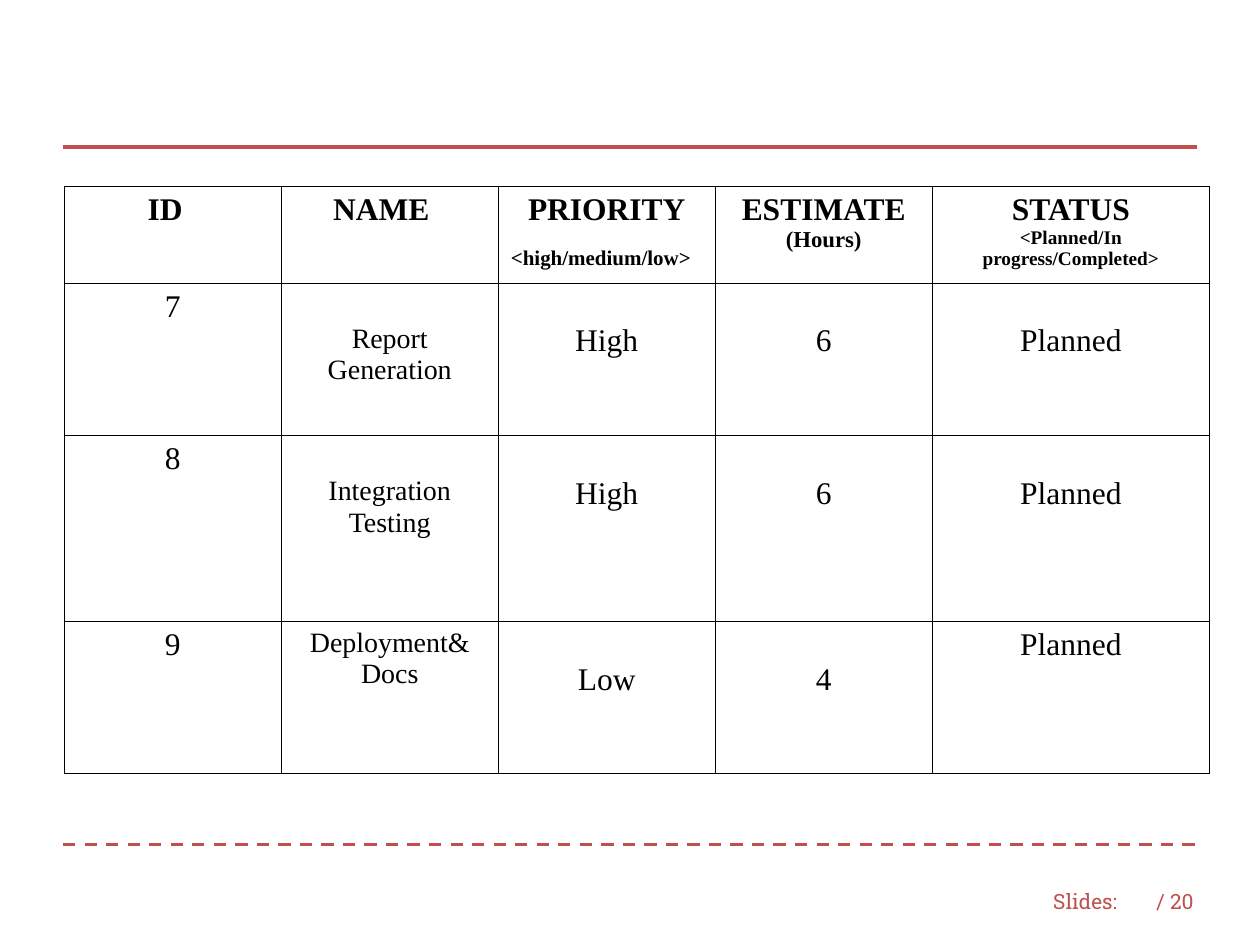
from lxml import etree
from pptx import Presentation
from pptx.dml.color import RGBColor
from pptx.enum.dml import MSO_LINE
from pptx.enum.shapes import MSO_CONNECTOR
from pptx.enum.text import MSO_ANCHOR, PP_ALIGN
from pptx.oxml.ns import qn
from pptx.util import Pt

STRAIGHT = MSO_CONNECTOR.STRAIGHT
DASH = MSO_LINE.DASH
MIDDLE = MSO_ANCHOR.MIDDLE
LEFT, CENTER = PP_ALIGN.LEFT, PP_ALIGN.CENTER

RED, BLACK, WHITE = "C0504D", "000000", "FFFFFF"
BODY_FONT, FOOTER_FONT = "Times New Roman", "Roboto Slab"

# Heading, its note, note size, space above the note
HEADINGS = [
    ("ID", None, None, 0),
    ("NAME", None, None, 0),
    ("PRIORITY", "<high/medium/low>", 12, 11.1),
    ("ESTIMATE", "(Hours)", 13, 0),
    ("STATUS", "<Planned/In progress/Completed>", 11, 0),
]
HEADING_INDENTS = {"ID": 40.5, "NAME": 22.5}
TASKS = [
    ["7", "Report\nGeneration", "High", "6", "Planned"],
    ["8", "Integration Testing", "High", "6", "Planned"],
    ["9", "Deployment& Docs", "Low", "4", "Planned"],
]
NAME_COLUMN = 1
# Columns of each task that start one line lower
LOWERED = [{1, 2, 3, 4}, {1, 2, 3, 4}, {2, 3}]
COLUMN_WIDTHS = [124, 124, 124, 124, 158.5]
ROW_HEIGHTS = [51.75, 87, 106.5, 87]
TABLE_LEFT, TABLE_TOP = 36.75, 106.25
MARGIN_X, MARGIN_Y, LINE_HEIGHT = 7.2, 3.6, 19.9

RULES = [(84, None), (482.4, DASH)]
FOOTERS = [("Slides:", 594.75, 54), ("/ 20", 653.75, 41)]


def color(hex_string):
    return RGBColor.from_string(hex_string)


def format_paragraph(paragraph, size, font, hex_color, bold=False, align=LEFT):
    paragraph.alignment = align
    for run in paragraph.runs:
        run.font.size = Pt(size)
        run.font.name = font
        run.font.bold = bold
        run.font.color.rgb = color(hex_color)


def style_cell(cell):
    """Give the cell its margins, thin black borders and white fill."""
    cell.margin_left = cell.margin_right = Pt(MARGIN_X)
    cell.margin_top = cell.margin_bottom = Pt(MARGIN_Y)
    properties = cell._tc.get_or_add_tcPr()
    for side in ("a:lnL", "a:lnR", "a:lnT", "a:lnB"):
        border = etree.SubElement(properties, qn(side), w=str(Pt(0.06)))
        fill = etree.SubElement(border, qn("a:solidFill"))
        etree.SubElement(fill, qn("a:srgbClr"), val=BLACK)
    cell.fill.solid()
    cell.fill.fore_color.rgb = color(WHITE)


def add_rule(slide, y, dash):
    rule = slide.shapes.add_connector(STRAIGHT, Pt(36), Pt(y), Pt(684), Pt(y))
    rule.line.color.rgb = color(RED)
    rule.line.width = Pt(1.75)
    if dash is not None:
        rule.line.dash_style = dash
    etree.SubElement(rule._element.spPr, qn("a:effectLst"))


def add_footer(slide, text, left, width):
    frame = slide.shapes.add_textbox(Pt(left), Pt(501), Pt(width), Pt(28)).text_frame
    frame.word_wrap = True
    frame.vertical_anchor = MIDDLE
    frame.text = text
    format_paragraph(frame.paragraphs[0], 12, FOOTER_FONT, RED)


def fill_heading(cell, heading, note, note_size, gap):
    style_cell(cell)
    indent = HEADING_INDENTS.get(heading, 0)
    cell.margin_left = Pt(MARGIN_X + indent)
    cell.text_frame.text = heading
    format_paragraph(cell.text_frame.paragraphs[0], 18, BODY_FONT, BLACK, True,
                     LEFT if indent else CENTER)
    if note:
        paragraph = cell.text_frame.add_paragraph()
        paragraph.text = note
        paragraph.space_before = Pt(gap)
        format_paragraph(paragraph, note_size, BODY_FONT, BLACK, True,
                         LEFT if gap else CENTER)


def fill_task_cell(cell, text, size, lowered):
    style_cell(cell)
    if lowered:
        cell.margin_top = Pt(MARGIN_Y + LINE_HEIGHT)
    cell.text_frame.text = text
    for paragraph in cell.text_frame.paragraphs:
        format_paragraph(paragraph, size, BODY_FONT, BLACK, align=CENTER)


def add_task_table(slide):
    table = slide.shapes.add_table(
        len(ROW_HEIGHTS), len(COLUMN_WIDTHS), Pt(TABLE_LEFT), Pt(TABLE_TOP),
        Pt(sum(COLUMN_WIDTHS)), Pt(sum(ROW_HEIGHTS))).table
    for column, width in zip(table.columns, COLUMN_WIDTHS):
        column.width = Pt(width)
    for row, height in zip(table.rows, ROW_HEIGHTS):
        row.height = Pt(height)
    for c, heading in enumerate(HEADINGS):
        fill_heading(table.cell(0, c), *heading)
    for r, (task, lowered) in enumerate(zip(TASKS, LOWERED), start=1):
        for c, text in enumerate(task):
            size = 16 if c == NAME_COLUMN else 18
            fill_task_cell(table.cell(r, c), text, size, c in lowered)


def main():
    presentation = Presentation()
    presentation.slide_width, presentation.slide_height = Pt(720), Pt(540)
    slide = presentation.slides.add_slide(presentation.slide_layouts[6])
    for footer in FOOTERS:
        add_footer(slide, *footer)
    for rule in RULES:
        add_rule(slide, *rule)
    add_task_table(slide)
    presentation.save("out.pptx")


if __name__ == "__main__":
    main()
